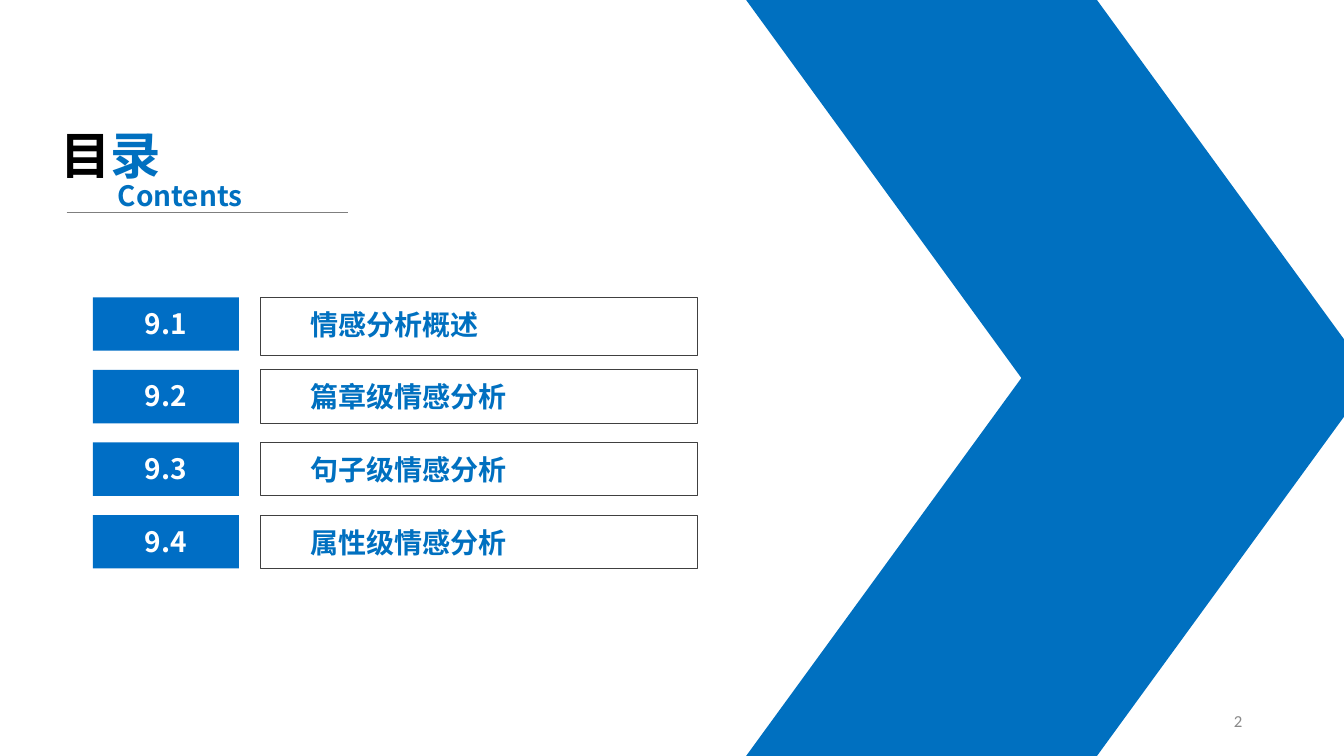
from lxml import etree
from pptx import Presentation
from pptx import util as u
from pptx.dml.color import RGBColor
from pptx.enum import shapes, text
from pptx.oxml.ns import qn

BLUE = RGBColor(0x00, 0x70, 0xC0)
NUMBER_BLUE = RGBColor(0x00, 0x6E, 0xC5)
BLACK = RGBColor(0x00, 0x00, 0x00)
WHITE = RGBColor(0xFF, 0xFF, 0xFF)
BORDER_GREY = RGBColor(0x40, 0x40, 0x40)
RULE_GREY = RGBColor(0x7F, 0x7F, 0x7F)
PAGE_GREY = RGBColor(0x89, 0x89, 0x89)
FONT = "Noto Sans CJK SC"

SLIDE_WIDTH, SLIDE_HEIGHT = 13.33, 7.5
ROW_PITCH, ROW_HEIGHT, FIRST_ROW_HEIGHT = 0.72, 0.53, 0.58
SECTIONS = ["情感分析概述", "篇章级情感分析", "句子级情感分析", "属性级情感分析"]


def inches(*lengths):
    return [u.Inches(length) for length in lengths]


def style_run(run, size, color, bold=True, font=FONT):
    run.font.size = u.Pt(size)
    run.font.bold = bold
    run.font.name = font
    run.font.color.rgb = color
    # Chinese characters take their typeface from the East Asian font.
    latin = run.font._element.find(qn("a:latin"))
    east_asian = etree.Element(qn("a:ea"), typeface=font)
    latin.addnext(east_asian)


def add_label(slide, box, wording, size, color, align=text.PP_ALIGN.LEFT, **style):
    label = slide.shapes.add_textbox(*inches(*box))
    label.text_frame.word_wrap = True
    paragraph = label.text_frame.paragraphs[0]
    paragraph.text = wording
    paragraph.alignment = align
    style_run(paragraph.runs[0], size, color, **style)
    return label


def add_block(slide, kind, box, fill=None, line=None):
    """Add a preset shape with an optional fill and thin outline."""
    shape = slide.shapes.add_shape(kind, *inches(*box))
    shape.shadow.inherit = False
    if fill is None:
        shape.fill.background()
    else:
        shape.fill.solid()
        shape.fill.fore_color.rgb = fill
    if line is None:
        shape.line.fill.background()
    else:
        shape.line.color.rgb = line
        shape.line.width = u.Pt(0.75)
    return shape


def add_chevron(slide, left, top, width, height):
    """Two mirrored parallelograms form one arrow pointing right."""
    half = height / 2
    for row, flipped in enumerate((True, False)):
        wing = add_block(slide, shapes.MSO_SHAPE.PARALLELOGRAM,
                         (left, top + row * half, width, half), fill=BLUE)
        wing.adjustments[0] = 0.728
        if flipped:
            wing._element.spPr.find(qn("a:xfrm")).set("flipV", "1")


def add_heading(slide, left, top):
    title = slide.shapes.title
    title.left, title.top, title.width, title.height = inches(left, top, 1.57, 0.71)
    frame = title.text_frame
    frame.word_wrap = True
    frame.auto_size = text.MSO_AUTO_SIZE.NONE
    frame.vertical_anchor = text.MSO_ANCHOR.TOP
    paragraph = frame.paragraphs[0]
    paragraph.alignment = text.PP_ALIGN.LEFT
    for character, color in (("目", BLACK), ("录", BLUE)):
        run = paragraph.add_run()
        run.text = character
        style_run(run, 36, color)

    rule = slide.shapes.add_connector(
        shapes.MSO_CONNECTOR.STRAIGHT,
        *inches(left + 0.16, top + 0.93, left + 2.95, top + 0.93))
    rule.line.color.rgb = RULE_GREY
    rule.line.width = u.Pt(0.5)
    etree.SubElement(rule._element.spPr, qn("a:effectLst"))
    add_label(slide, (left + 0.57, top + 0.54, 1.57, 0.44), "Contents", 20, BLUE)


def add_section(slide, left, top, height, number, name):
    """One contents row: a filled number box and an outlined name box."""
    rectangle = shapes.MSO_SHAPE.RECTANGLE
    add_block(slide, rectangle, (left + 1.66, top, 4.34, height), line=BORDER_GREY)
    add_label(slide, (left + 2.06, top + 0.05, 3.69, 0.44), name, 20, BLUE)
    add_block(slide, rectangle, (left, top, 1.45, ROW_HEIGHT), fill=NUMBER_BLUE)
    add_label(slide, (left + 0.2, top + 0.04, 1.05, 0.44), number, 20, WHITE,
              align=text.PP_ALIGN.CENTER)


def add_contents(slide, left, top):
    for row, name in enumerate(SECTIONS):
        height = ROW_HEIGHT if row else FIRST_ROW_HEIGHT
        add_section(slide, left, top + row * ROW_PITCH, height, f"9.{row + 1}", name)


def add_page_number(slide, box, number):
    label = add_label(slide, box, number, 12, PAGE_GREY,
                      align=text.PP_ALIGN.RIGHT, bold=False, font="Calibri")
    label.text_frame.vertical_anchor = text.MSO_ANCHOR.MIDDLE


def main():
    presentation = Presentation()
    presentation.slide_width, presentation.slide_height = inches(SLIDE_WIDTH, SLIDE_HEIGHT)
    slide = presentation.slides.add_slide(presentation.slide_layouts.get_by_name("Title Only"))
    add_chevron(slide, 7.4, 0, 6.21, SLIDE_HEIGHT)
    add_heading(slide, 0.5, 1.18)
    add_contents(slide, 0.92, 2.95)
    add_page_number(slide, (9.42, 6.95, 3, 0.4), "2")
    presentation.save("out.pptx")


if __name__ == "__main__":
    main()
